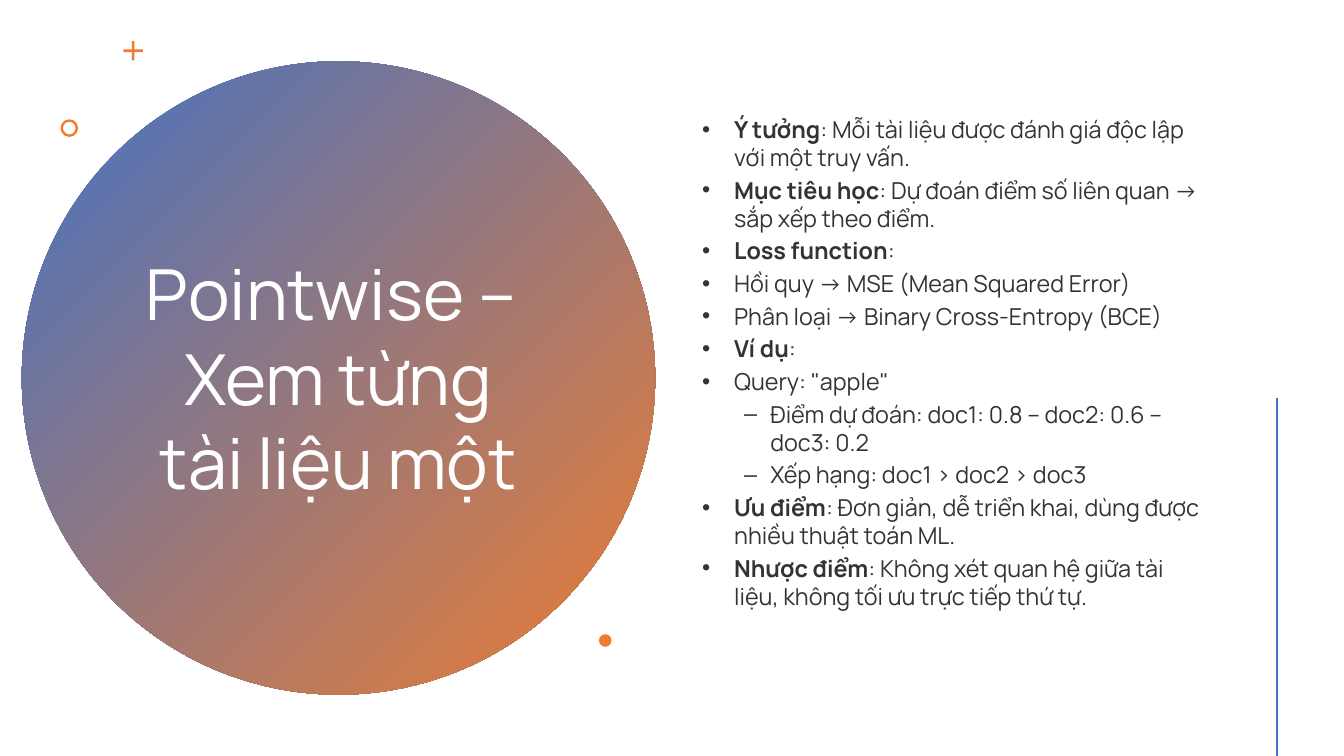
from lxml.etree import SubElement
from pptx import Presentation
from pptx.dml.color import RGBColor
from pptx.enum.shapes import MSO_CONNECTOR, MSO_SHAPE
from pptx.enum.text import MSO_ANCHOR, MSO_AUTO_SIZE, PP_ALIGN
from pptx.oxml.ns import qn
from pptx.util import Inches, Pt

COLORS = {"blue": "4472C4", "orange": "ED7D31", "white": "FFFFFF", "text": "333333"}
FONT = "Manrope"


def color(name):
    return RGBColor.from_string(COLORS[name])


def place(shape, left, top, width, height):
    shape.left, shape.top = Inches(left), Inches(top)
    shape.width, shape.height = Inches(width), Inches(height)


deck = Presentation()
deck.slide_width, deck.slide_height = Inches(16), Inches(9)
page = deck.slides.add_slide(deck.slide_layouts[1])
title, body = page.placeholders

# Gradient circle behind the title
circle = page.shapes.add_shape(
    MSO_SHAPE.OVAL, Inches(0.26), Inches(0.73), Inches(7.54), Inches(7.54))
circle.shadow.inherit = False
circle.line.fill.background()
circle.fill.gradient()
circle.fill.gradient_angle = 315
for stop, position, name in zip(circle.fill.gradient_stops, (0, 1), ("blue", "orange")):
    stop.position = position
    stop.color.rgb = color(name)
title.element.addprevious(circle.element)

# Title and body frames
place(title, 1.63, 1.69, 4.79, 5.6)
place(body, 8.26, 0.68, 6.26, 7.27)
for box in (title, body):
    box.text_frame.word_wrap = True
    box.text_frame.auto_size = MSO_AUTO_SIZE.NONE
    box.text_frame.vertical_anchor = MSO_ANCHOR.MIDDLE

# Title text
title.text_frame.text = "Pointwise – \vXem từng tài liệu một"
para = title.text_frame.paragraphs[0]
para.alignment = PP_ALIGN.CENTER
for span in para.runs:
    span.font.name = FONT
    span.font.size = Pt(60.3)
    span.font.color.rgb = color("white")

# Bullet list: level, bold lead, plain text
points = [
    (0, "Ý tưởng", ": Mỗi tài liệu được đánh giá độc lập với một truy vấn."),
    (0, "Mục tiêu học", ": Dự đoán điểm số liên quan → sắp xếp theo điểm."),
    (0, "Loss function", ":"),
    (0, "", "Hồi quy → MSE (Mean Squared Error)"),
    (0, "", "Phân loại → Binary Cross-Entropy (BCE)"),
    (0, "Ví dụ", ":"),
    (0, "", 'Query: "apple"'),
    (1, "", "Điểm dự đoán: doc1: 0.8 – doc2: 0.6 – doc3: 0.2"),
    (1, "", "Xếp hạng: doc1 > doc2 > doc3"),
    (0, "Ưu điểm", ": Đơn giản, dễ triển khai, dùng được nhiều thuật toán ML."),
    (0, "Nhược điểm", ": Không xét quan hệ giữa tài liệu, không tối ưu trực tiếp thứ tự."),
]
bullets = [("•", 0.38, -0.38), ("–", 0.81, -0.31)]
for index, (level, lead, rest) in enumerate(points):
    para = body.text_frame.add_paragraph() if index else body.text_frame.paragraphs[0]
    para.level = level
    para.space_before = Pt(4 if index else 0)
    sign, margin, indent = bullets[level]
    properties = para._p.get_or_add_pPr()
    properties.set("marL", str(Inches(margin)))
    properties.set("indent", str(Inches(indent)))
    SubElement(properties, qn("a:buChar")).set("char", sign)
    for text, bold in ((lead, True), (rest, False)):
        if text:
            span = para.add_run()
            span.text = text
            span.font.name = FONT
            span.font.size = Pt(20)
            span.font.bold = bold
            span.font.color.rgb = color("text")

# Small orange ornaments: shape, left, top, size, thickness ratio
ornaments = [
    (MSO_SHAPE.CROSS, 1.47, 0.49, 0.23, 0.43),
    (MSO_SHAPE.DONUT, 0.72, 1.42, 0.21, 0.14),
    (MSO_SHAPE.OVAL, 7.13, 7.55, 0.15, None),
]
for kind, left, top, size, ratio in ornaments:
    ornament = page.shapes.add_shape(
        kind, Inches(left), Inches(top), Inches(size), Inches(size))
    ornament.shadow.inherit = False
    ornament.fill.solid()
    ornament.fill.fore_color.rgb = color("orange")
    ornament.line.fill.background()
    if ratio:
        ornament.adjustments[0] = ratio

# Vertical line at the right
rule = page.shapes.add_connector(
    MSO_CONNECTOR.STRAIGHT, Inches(15.2), Inches(4.74), Inches(15.2), Inches(9))
rule.line.color.rgb = color("blue")
rule.line.width = Pt(2)
SubElement(rule.element.spPr, qn("a:effectLst"))

deck.save("out.pptx")
